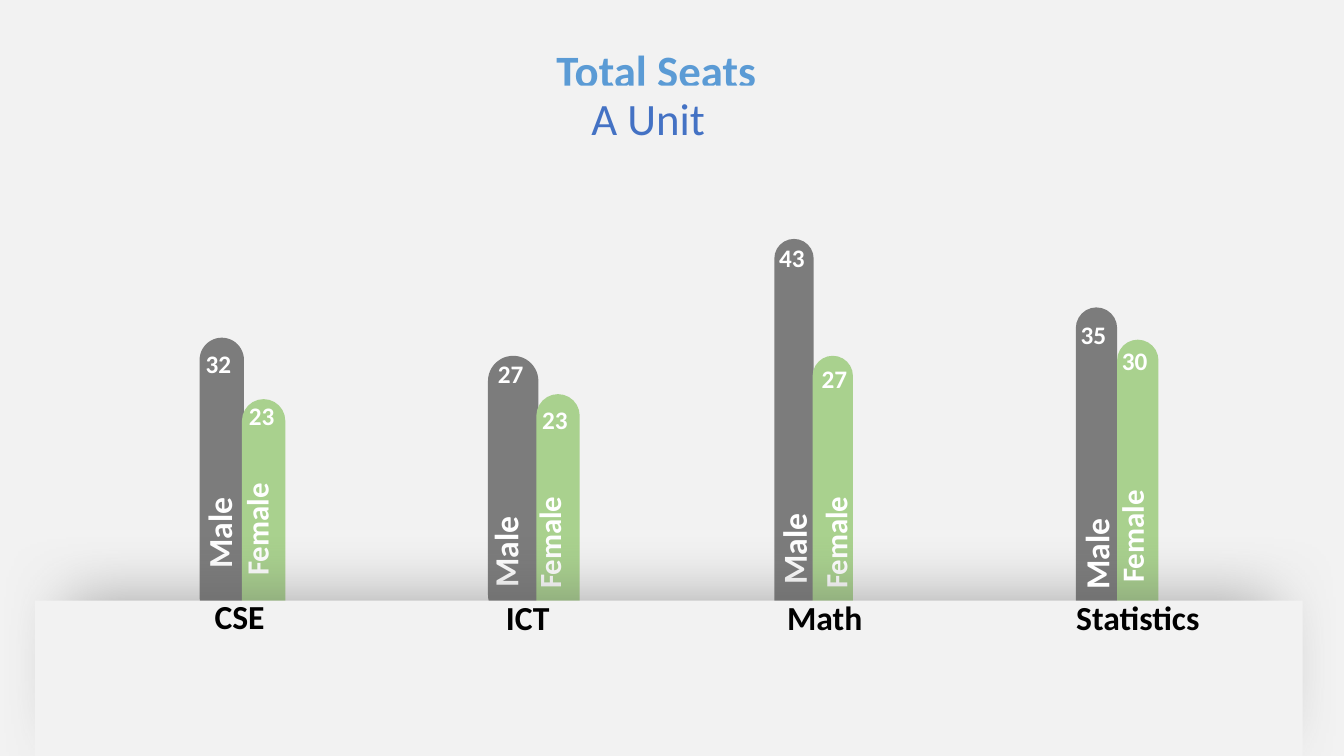
from dataclasses import dataclass

from lxml import etree
from pptx import Presentation
from pptx.dml.color import RGBColor
from pptx.enum.shapes import MSO_SHAPE
from pptx.enum.text import MSO_AUTO_SIZE, PP_ALIGN
from pptx.oxml.ns import qn
from pptx.util import Inches, Pt

RECT = MSO_SHAPE.RECTANGLE
ROUND_RECT = MSO_SHAPE.ROUNDED_RECTANGLE
LEFT, CENTER = PP_ALIGN.LEFT, PP_ALIGN.CENTER
FIT_SHAPE = MSO_AUTO_SIZE.SHAPE_TO_FIT_TEXT

FONT = "Calibri"
COLORS = {
    "ground": "F2F2F2",
    "Male": "7C7C7C",
    "Female": "A9D18E",
    "white": "FFFFFF",
    "black": "000000",
    "title": "5B9BD5",
    "subtitle": "4472C4",
    "shadow": "595959",
}
GROUND_Y = 5.96
# Width, height, text size and wrapping of the upright bar names
TAGS = {"Male": (1.12, 0.5, 24, True), "Female": (1.13, 0.47, 22, False)}


@dataclass
class Bar:
    """One bar; value_at is relative to its corner, tag_at to its foot on the ground."""
    series: str
    value: int
    box: tuple
    value_at: tuple
    tag_at: tuple


@dataclass
class Subject:
    name: str
    label_box: tuple
    align: PP_ALIGN
    bars: tuple


SUBJECTS = [
    Subject("CSE", (2.03, 5.86, 1.86, 0.5), LEFT, (
        Bar("Male", 32, (1.98, 3.35, 0.44, 2.79), (-0.04, 0.06), (-0.37, -1.03)),
        Bar("Female", 23, (2.4, 3.96, 0.43, 2.24), (-0.03, -0.04), (-0.42, -0.95)))),
    Subject("ICT", (4.92, 5.87, 1.86, 0.5), LEFT, (
        Bar("Male", 27, (4.84, 3.53, 0.5, 2.62), (0, -0.02), (-0.39, -0.84)),
        Bar("Female", 23, (5.32, 3.91, 0.43, 2.29), (-0.04, 0.05), (-0.44, -0.82)))),
    Subject("Math", (7.25, 5.87, 1.86, 0.5), CENTER, (
        Bar("Male", 43, (7.68, 2.37, 0.39, 3.78), (-0.05, -0.02), (-0.37, -0.87)),
        Bar("Female", 27, (8.06, 3.53, 0.4, 2.63), (-0.01, 0.03), (-0.34, -0.82)))),
    Subject("Statistics", (10.14, 5.87, 2.29, 0.5), CENTER, (
        Bar("Male", 35, (10.67, 3.05, 0.41, 3.57), (-0.05, 0.07), (-0.36, -0.82)),
        Bar("Female", 30, (11.08, 3.37, 0.41, 3.77), (-0.05, 0.01), (-0.42, -0.88)))),
]


def rgb(name):
    return RGBColor.from_string(COLORS[name])


def add_block(slide, kind, box, color):
    sp = slide.shapes.add_shape(kind, *map(Inches, box))
    sp.shadow.inherit = False
    sp.fill.solid()
    sp.fill.fore_color.rgb = rgb(color)
    sp.line.fill.background()
    return sp


def write(sp, text, size, color, bold=True, align=LEFT, wrap=True):
    tf = sp.text_frame
    tf.text = text
    tf.word_wrap = wrap
    tf.auto_size = FIT_SHAPE
    p = tf.paragraphs[0]
    p.alignment = align
    font = p.runs[0].font
    font.name, font.size, font.bold = FONT, Pt(size), bold
    font.color.rgb = rgb(color)


def add_label(slide, box, text, size, color, **style):
    sp = slide.shapes.add_textbox(*map(Inches, box))
    write(sp, text, size, color, **style)
    return sp


def add_bars(slide, subject):
    for bar in subject.bars:
        sp = add_block(slide, ROUND_RECT, bar.box, bar.series)
        sp.adjustments[0] = 0.5


def add_bar_labels(slide, subject):
    """Write the value at the top of each bar and its upright name near the ground."""
    for bar in subject.bars:
        x, y = bar.box[:2]
        dx, dy = bar.value_at
        add_label(slide, (x + dx, y + dy, 0.5, 0.4), str(bar.value), 18, "white")
        width, height, size, wrap = TAGS[bar.series]
        dx, dy = bar.tag_at
        tag = add_label(slide, (x + dx, GROUND_Y + dy, width, height),
                        bar.series, size, "white", wrap=wrap)
        tag.rotation = 270


def add_soft_shadow(sp):
    """Cast a wide blurred shadow upwards."""
    effects = sp._element.spPr.find(qn("a:effectLst"))
    shadow = etree.SubElement(effects, qn("a:outerShdw"), blurRad=str(Pt(47)),
                              dist=str(Pt(4)), dir="16200000", rotWithShape="0")
    color = etree.SubElement(shadow, qn("a:srgbClr"), val=COLORS["shadow"])
    etree.SubElement(color, qn("a:alpha"), val="50000")


def add_ground(slide, x, y, width, height):
    """Cover the feet of the bars with a panel over a shadowed inner panel."""
    inner = add_block(slide, RECT, (x + 0.31, y + 0.04, width - 0.6, height - 0.25), "ground")
    add_soft_shadow(inner)
    add_block(slide, RECT, (x, y, width, height), "ground")


def add_heading(slide, x, y, width):
    add_label(slide, (x, y, width, 0.64), "Total Seats", 32, "title", align=CENTER)
    unit = add_block(slide, RECT, (x + 0.91, y + 0.48, 3.12, 0.64), "ground")
    write(unit, "A Unit", 32, "subtitle", bold=False, align=CENTER)


def build_seats_slide(prs):
    slide = prs.slides.add_slide(prs.slide_layouts[6])
    slide.background.fill.solid()
    slide.background.fill.fore_color.rgb = rgb("ground")
    *behind_shadow, last = SUBJECTS
    for subject in SUBJECTS:
        add_bars(slide, subject)
    for subject in behind_shadow:
        add_bar_labels(slide, subject)
    add_ground(slide, 0.35, GROUND_Y, 12.57, 1.56)
    add_bar_labels(slide, last)
    for subject in SUBJECTS:
        add_label(slide, subject.label_box, subject.name, 24, "black", align=subject.align)
    add_heading(slide, 3.96, 0.37, 5.1)


def main():
    prs = Presentation()
    prs.slide_width, prs.slide_height = Inches(13.33), Inches(7.5)
    build_seats_slide(prs)
    prs.save("out.pptx")


if __name__ == "__main__":
    main()
